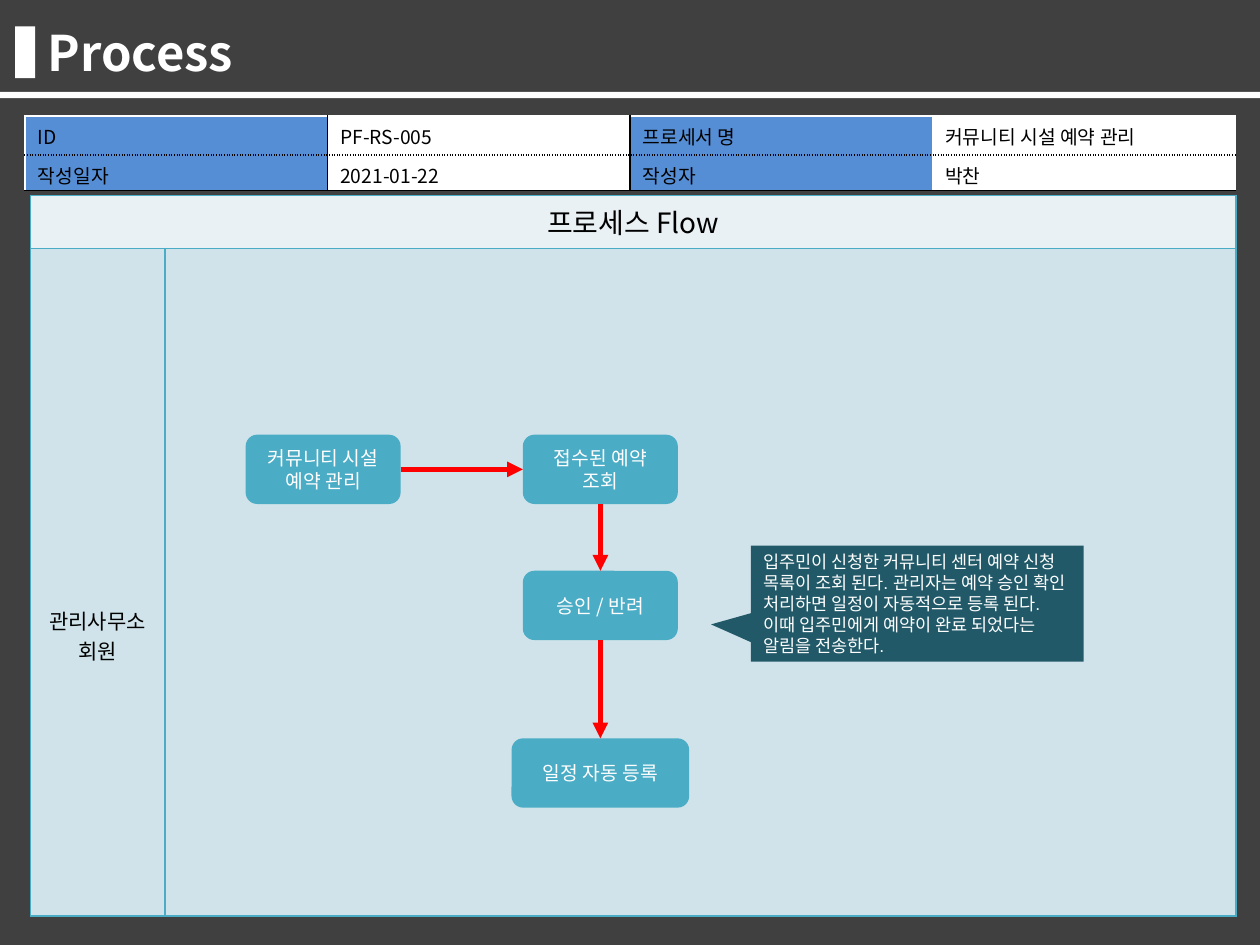
from dataclasses import dataclass

from lxml import etree
from pptx import Presentation
from pptx import util as u
from pptx.dml.color import RGBColor
from pptx.enum import shapes as s
from pptx.enum import text as t
from pptx.oxml import ns


@dataclass(frozen=True)
class Theme:
    font: str = "Noto Sans CJK KR"
    latin: str = "Arial"
    dark: str = "404040"
    white: str = "FFFFFF"
    black: str = "000000"
    blue: str = "558ED5"
    teal: str = "4BACC6"
    deep: str = "215968"
    pale: str = "E9F1F5"
    mist: str = "D0E3EA"
    red: str = "FF0000"
    title: int = 28
    head: int = 16
    label: int = 12
    body: int = 11
    note: int = 10


@dataclass(frozen=True)
class Rect:
    left: float
    top: float
    width: float
    height: float

    def place(self) -> tuple:
        return tuple(map(u.Inches, (self.left, self.top, self.width, self.height)))


@dataclass(frozen=True)
class Step:
    words: str
    rect: Rect


@dataclass(frozen=True)
class Link:
    start: int
    out: int
    end: int
    into: int


@dataclass(frozen=True)
class Edge:
    side: str
    color: str
    dash: str = "solid"


LOOK = Theme()
STEPS = [
    Step("커뮤니티 시설 예약 관리", Rect(1.95, 3.45, 1.23, 0.55)),
    Step("접수된 예약 조회", Rect(4.15, 3.45, 1.23, 0.55)),
    Step("승인 / 반려", Rect(4.15, 4.53, 1.23, 0.55)),
    Step("일정 자동 등록", Rect(4.06, 5.86, 1.41, 0.55)),
]
LINKS = [Link(0, 3, 1, 1), Link(1, 2, 2, 0), Link(2, 2, 3, 0)]
INFO = [
    ["ID", "PF-RS-005", "프로세서 명", "커뮤니티 시설 예약 관리"],
    ["작성일자", "2021-01-22", "작성자", "박찬"],
]
NOTE = (
    "입주민이 신청한 커뮤니티 센터 예약 신청 목록이 조회 된다. "
    "관리자는 예약 승인 확인 처리하면 일정이 자동적으로 등록 된다. "
    "이때 입주민에게 예약이 완료 되었다는 알림을 전송한다."
)


def write(frame, words: str, size: int, color: str, align=t.PP_ALIGN.LEFT,
          face: str = LOOK.font, bold: bool = False) -> None:
    """Fill the first paragraph with one run, in Latin and Korean fonts."""
    para = frame.paragraphs[0]
    para.alignment = align
    run = para.add_run()
    run.text = words
    font = run.font
    font.size = u.Pt(size)
    font.bold = bold
    font.color.rgb = RGBColor.from_string(color)
    font.name = face
    asian = etree.Element(ns.qn("a:ea"), typeface=LOOK.font)
    run.font._element.find(ns.qn("a:latin")).addnext(asian)


def block(slide, kind, rect: Rect, color: str):
    shape = slide.shapes.add_shape(kind, *rect.place())
    shape.shadow.inherit = False
    shape.fill.solid()
    shape.fill.fore_color.rgb = RGBColor.from_string(color)
    shape.line.fill.background()
    shape.text_frame.word_wrap = True
    shape.text_frame.vertical_anchor = t.MSO_ANCHOR.MIDDLE
    return shape


def grid(slide, rect: Rect, cols: list[float], rows: list[float]):
    table = slide.shapes.add_table(len(rows), len(cols), *rect.place()).table
    table.first_row = table.horz_banding = False
    for col, width in zip(table.columns, cols):
        col.width = u.Inches(width)
    for row, height in zip(table.rows, rows):
        row.height = u.Inches(height)
    return table


def finish(cell, color: str, edges: list[Edge]) -> None:
    """Draw the edges (in order L, R, T, B), then the fill."""
    props = cell._tc.get_or_add_tcPr()
    for edge in edges:
        line = etree.SubElement(props, ns.qn(f"a:ln{edge.side}"), w=str(u.Pt(1)))
        paint = etree.SubElement(line, ns.qn("a:solidFill"))
        etree.SubElement(paint, ns.qn("a:srgbClr"), val=edge.color)
        etree.SubElement(line, ns.qn("a:prstDash"), val=edge.dash)
    cell.fill.solid()
    cell.fill.fore_color.rgb = RGBColor.from_string(color)


def header(slide) -> None:
    plain = s.MSO_SHAPE.RECTANGLE
    back = block(slide, plain, Rect(0, 0, 10, 7.5), LOOK.dark)
    title = slide.shapes.title
    back.element.addnext(title.element)
    title.left, title.top, title.width, title.height = Rect(0.28, 0.13, 8.98, 0.57).place()
    title.text_frame.vertical_anchor = t.MSO_ANCHOR.MIDDLE
    write(title.text_frame, "Process", LOOK.title, LOOK.white, bold=True)
    for rect in (Rect(0.12, 0.21, 0.16, 0.41), Rect(0, 0.73, 10, 0.05)):
        block(slide, plain, rect, LOOK.white)


def flow(slide) -> None:
    table = grid(slide, Rect(0.24, 1.55, 9.57, 5.72), [1.07, 8.5], [0.42, 5.3])
    edges = [Edge(side, LOOK.teal) for side in "LRTB"]
    for row, color in enumerate((LOOK.pale, LOOK.mist)):
        for col in range(2):
            finish(table.cell(row, col), color, edges)
    head, label = table.cell(0, 0), table.cell(1, 0)
    head.merge(table.cell(0, 1))
    label.margin_top = u.Inches(2.83)
    center = t.PP_ALIGN.CENTER
    write(head.text_frame, "프로세스 Flow", LOOK.head, LOOK.black, center)
    write(label.text_frame, "관리사무소 회원", LOOK.label, LOOK.black, center)


def info(slide) -> None:
    table = grid(slide, Rect(0.2, 0.92, 9.6, 0.59), [2.4] * 4, [0.31, 0.28])
    sides = [LOOK.white, LOOK.black, LOOK.black, LOOK.white, LOOK.white]
    rules = [(LOOK.white, "solid"), (LOOK.black, "sysDot"), (LOOK.black, "solid")]
    for row, line in enumerate(INFO):
        for col, words in enumerate(line):
            cell = table.cell(row, col)
            cell.margin_bottom = u.Inches(0.01)
            write(cell.text_frame, words, LOOK.body, LOOK.black)
            finish(cell, LOOK.white if col % 2 else LOOK.blue, [
                Edge("L", sides[col]), Edge("R", sides[col + 1]),
                Edge("T", *rules[row]), Edge("B", *rules[row + 1]),
            ])


def node(slide, step: Step):
    shape = block(slide, s.MSO_SHAPE.ROUNDED_RECTANGLE, step.rect, LOOK.teal)
    write(shape.text_frame, step.words, LOOK.body, LOOK.white, t.PP_ALIGN.CENTER)
    return shape


def arrow(slide, nodes: list, link: Link) -> None:
    line = slide.shapes.add_connector(s.MSO_CONNECTOR.STRAIGHT, 0, 0, 0, 0)
    line.begin_connect(nodes[link.start], link.out)
    line.end_connect(nodes[link.end], link.into)
    line.line.color.rgb = RGBColor.from_string(LOOK.red)
    line.line.width = u.Pt(3)
    etree.SubElement(line.line._get_or_add_ln(), ns.qn("a:tailEnd"), type="triangle")
    etree.SubElement(line.element.spPr, ns.qn("a:effectLst"))


def main() -> None:
    deck = Presentation()
    deck.slide_width, deck.slide_height = u.Inches(10), u.Inches(7.5)
    slide = deck.slides.add_slide(deck.slide_layouts[5])
    header(slide)
    flow(slide)
    info(slide)
    nodes = [node(slide, step) for step in STEPS]
    note = block(slide, s.MSO_SHAPE.RECTANGULAR_CALLOUT, Rect(5.96, 4.33, 2.64, 0.92), LOOK.deep)
    note.adjustments[0], note.adjustments[1] = -0.62, 0.18
    write(note.text_frame, NOTE, LOOK.note, LOOK.white, face=LOOK.latin)
    for link in LINKS:
        arrow(slide, nodes, link)
    deck.save("out.pptx")


if __name__ == "__main__":
    main()
